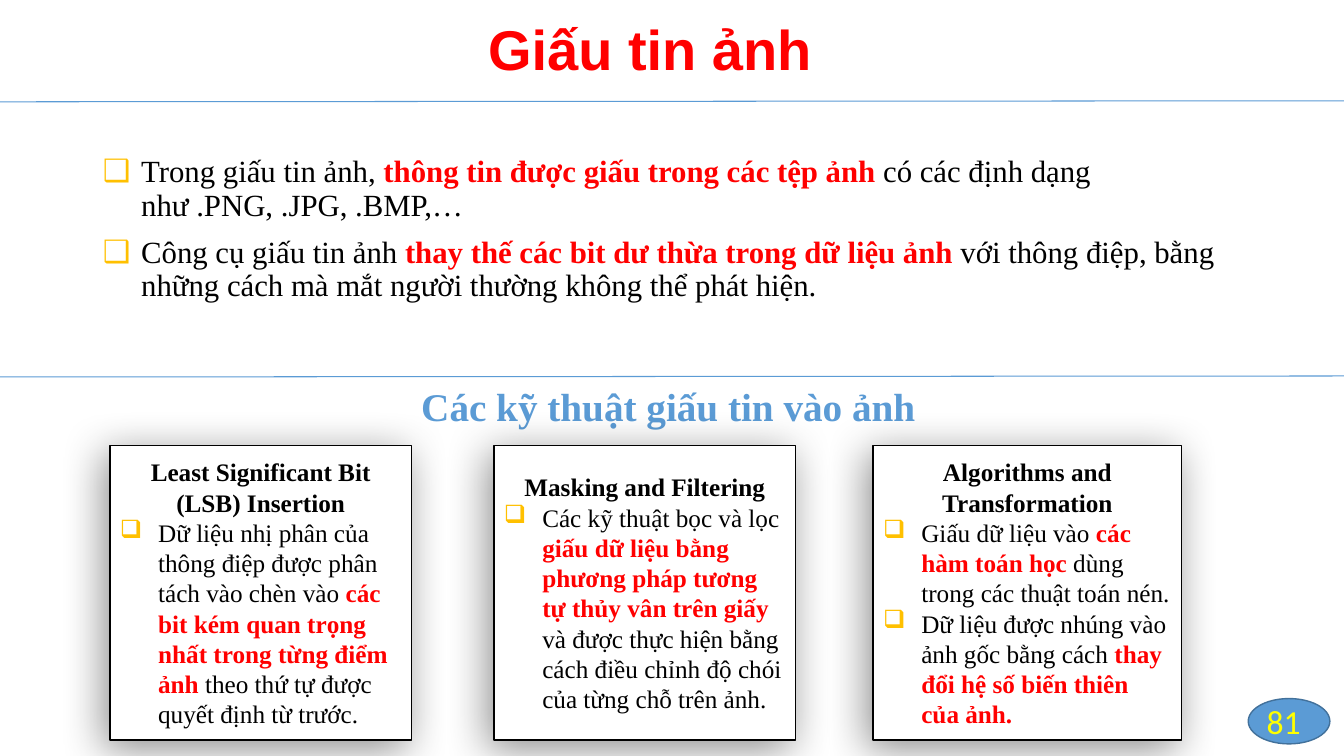
"""Build the slide on hiding data in images."""
from lxml import etree
from pptx import Presentation
from pptx.dml.color import RGBColor
from pptx.enum.shapes import MSO_CONNECTOR, MSO_SHAPE
from pptx.enum.text import MSO_ANCHOR, MSO_AUTO_SIZE, PP_ALIGN
from pptx.oxml.ns import qn
from pptx.util import Inches, Pt

LEFT, MID, RIGHT = PP_ALIGN.LEFT, PP_ALIGN.CENTER, PP_ALIGN.RIGHT
TOP, CENTER = MSO_ANCHOR.TOP, MSO_ANCHOR.MIDDLE
OVAL, RECT = MSO_SHAPE.OVAL, MSO_SHAPE.RECTANGLE
FIXED, STRAIGHT = MSO_AUTO_SIZE.NONE, MSO_CONNECTOR.STRAIGHT

TITLE = "Giấu tin ảnh"
POINTS = [
    "Trong giấu tin ảnh, **thông tin được giấu trong các tệp ảnh **"
    "có các định dạng như .PNG, .JPG, .BMP,…",
    "Công cụ giấu tin ảnh **thay thế các bit dư thừa trong dữ liệu ảnh **"
    "với thông điệp, bằng những cách mà mắt người thường không thể phát hiện.",
]
HEADING = "Các kỹ thuật giấu tin vào ảnh"
CARDS = [
    (1.09, 2.99, "Least Significant Bit (LSB) Insertion", [
        "Dữ liệu nhị phân của thông điệp được phân tách vào chèn vào "
        "**các bit kém quan trọng nhất trong từng điểm ảnh** "
        "theo thứ tự được quyết định từ trước."]),
    (4.9, 2.99, "Masking and Filtering", [
        "Các kỹ thuật bọc và lọc "
        "**giấu dữ liệu bằng phương pháp tương tự thủy vân trên giấy** "
        "và được thực hiện bằng cách điều chỉnh độ chói của từng chỗ trên ảnh."]),
    (8.66, 3.06, "Algorithms and Transformation", [
        "Giấu dữ liệu vào **các hàm toán học** dùng trong các thuật toán nén.",
        "Dữ liệu được nhúng vào ảnh gốc bằng cách "
        "**thay đổi hệ số biến thiên của ảnh.**"]),
]
NUMBER = "81"
RULES = [1.0, 3.73]

SERIF = "Times New Roman"
THEME = {
    "red": "FF0000", "black": "000000", "white": "FFFFFF", "blue": "5B9BD5",
    "edge": "42719B", "gold": "FFC000", "yellow": "FFFF00",
    "title": {"name": "Arial", "size": Pt(40), "bold": True},
    "body": {"name": SERIF, "size": Pt(22), "bold": False},
    "heading": {"name": SERIF, "size": Pt(28), "bold": True},
    "label": {"name": SERIF, "size": Pt(18), "bold": True},
    "card": {"name": SERIF, "size": Pt(18), "bold": False},
    "number": {"name": "Calibri", "size": Pt(24), "bold": False},
}


def color(key):
    return RGBColor.from_string(THEME[key])


def apply(item, values):
    for key, value in values.items():
        setattr(item, key, value)


def add_run(para, text, style, ink):
    run = para.add_run()
    run.text = text
    apply(run.font, THEME[style])
    run.font.color.rgb = color(ink)
    return run


def add_bullet(para, text, style):
    props = para._p.get_or_add_pPr()
    props.set("marL", str(Inches(0.38)))
    props.set("indent", str(Inches(-0.38)))
    tint = etree.SubElement(props, qn("a:buClr"))
    etree.SubElement(tint, qn("a:srgbClr"), val=THEME["gold"])
    etree.SubElement(props, qn("a:buChar"), char="❑")
    for index, part in enumerate(text.split("**")):
        if part:
            strong = index % 2 == 1
            run = add_run(para, part, style, "red" if strong else "black")
            run.font.bold = strong


def set_frame(shape, anchor):
    frame = shape.text_frame
    apply(frame, {"word_wrap": True, "auto_size": FIXED, "vertical_anchor": anchor})
    return frame


def place(shape, *box):
    names = ("left", "top", "width", "height")
    apply(shape, dict(zip(names, map(Inches, box))))


def add_label(shape, text, style, ink, align, anchor=TOP):
    para = set_frame(shape, anchor).paragraphs[0]
    para.alignment = align
    add_run(para, text, style, ink)


def add_box(slide, kind, box, fill, line):
    shape = slide.shapes.add_shape(kind, *map(Inches, box))
    shape.shadow.inherit = False
    shape.fill.solid()
    shape.fill.fore_color.rgb = color(fill)
    shape.line.color.rgb = color(line)
    shape.line.width = Pt(1)
    return shape


def add_shadow(shape):
    effects = shape._element.spPr.find(qn("a:effectLst"))
    shade = etree.SubElement(
        effects, qn("a:outerShdw"), blurRad=str(Pt(31)), dist=str(Pt(7)),
        dir=str(129 * 60000), algn="tl", rotWithShape="0")
    tint = etree.SubElement(shade, qn("a:srgbClr"), val=THEME["black"])
    etree.SubElement(tint, qn("a:alpha"), val="44000")


def add_rule(slide, top):
    ends = map(Inches, (0, top + 0.01, 13.33, top))
    rule = slide.shapes.add_connector(STRAIGHT, *ends)
    rule.line.color.rgb = color("blue")
    rule.line.width = Pt(0.75)
    etree.SubElement(rule._element.spPr, qn("a:effectLst"))


def add_card(slide, left, width, label, points):
    card = add_box(slide, RECT, (left, 4.42, width, 2.92), "white", "black")
    add_shadow(card)
    add_label(card, label, "label", "black", MID, CENTER)
    for point in points:
        para = card.text_frame.add_paragraph()
        para.alignment = LEFT
        add_bullet(para, point, "card")


def main():
    deck = Presentation()
    apply(deck, {"slide_width": Inches(13.33), "slide_height": Inches(7.5)})
    slide = deck.slides.add_slide(deck.slide_layouts[1])
    title, body = slide.placeholders
    place(title, 2.19, 0.09, 8.51, 0.77)
    add_label(title, TITLE, "title", "red", MID)

    place(body, 0.92, 1.5, 11.5, 2.85)
    frame = set_frame(body, TOP)
    for index, point in enumerate(POINTS):
        para = frame.add_paragraph() if index else frame.paragraphs[0]
        apply(para, {"line_spacing": 0.9, "space_before": Pt(10 if index else 0)})
        add_bullet(para, point, "body")

    for top in RULES:
        add_rule(slide, top)
    heading = slide.shapes.add_textbox(*map(Inches, (4.08, 3.74, 5.17, 0.57)))
    add_label(heading, HEADING, "heading", "blue", LEFT)
    for card in CARDS:
        add_card(slide, *card)

    add_box(slide, OVAL, (12.38, 6.93, 0.81, 0.45), "blue", "edge")
    number = slide.shapes.add_textbox(*map(Inches, (10, 6.95, 3, 0.4)))
    add_label(number, NUMBER, "number", "yellow", RIGHT, CENTER)
    deck.save("out.pptx")


if __name__ == "__main__":
    main()
